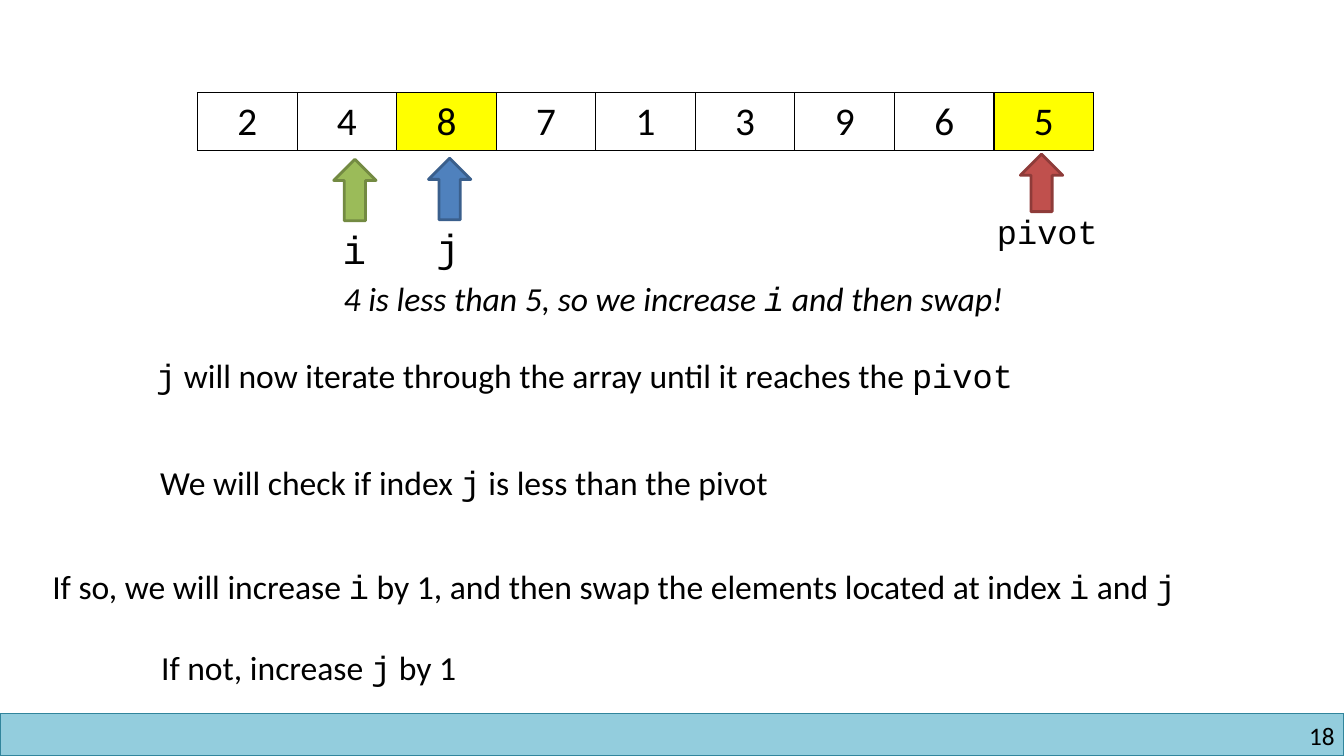
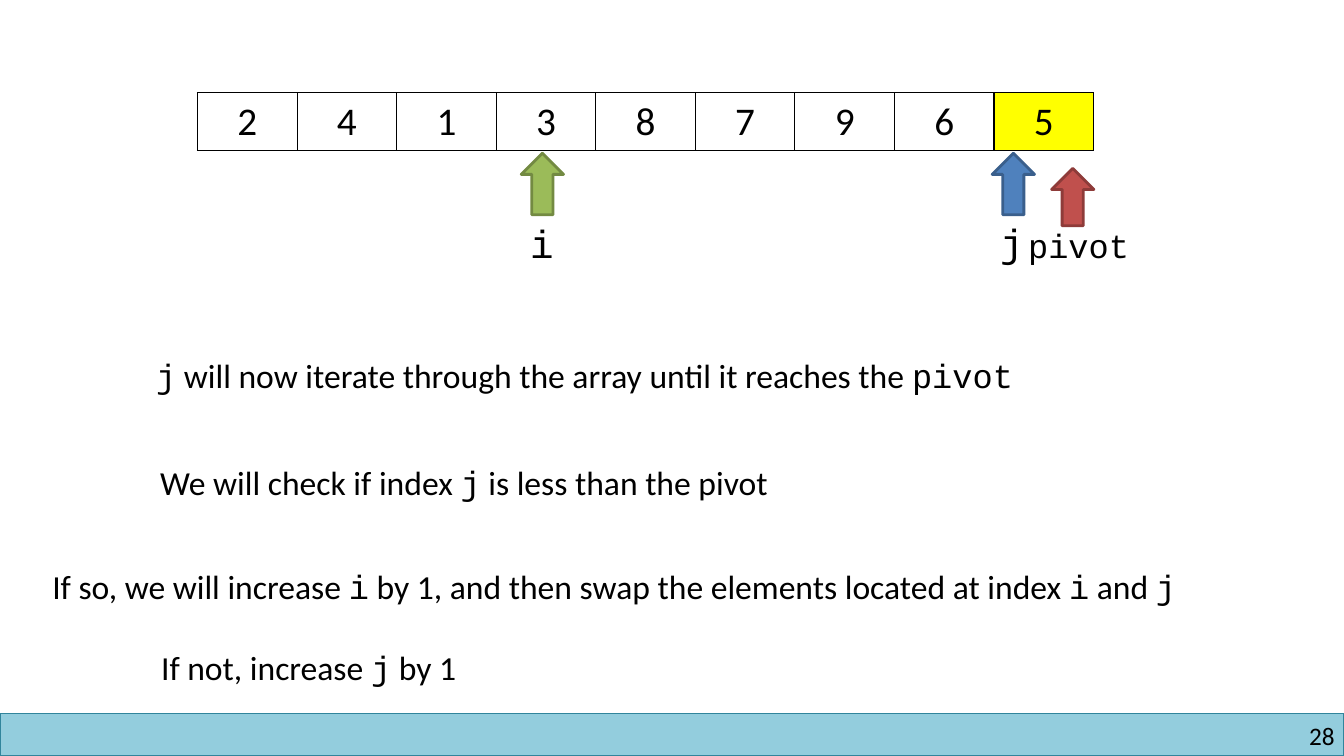
from dataclasses import dataclass

from lxml import etree
from pptx import Presentation
from pptx.dml.color import RGBColor
from pptx.enum.shapes import MSO_SHAPE
from pptx.enum.text import MSO_ANCHOR, MSO_AUTO_SIZE, PP_ALIGN
from pptx.oxml.ns import qn
from pptx.util import Inches, Pt

RECT, UP_ARROW = MSO_SHAPE.RECTANGLE, MSO_SHAPE.UP_ARROW
LEFT, CENTER, RIGHT = PP_ALIGN.LEFT, PP_ALIGN.CENTER, PP_ALIGN.RIGHT
MIDDLE = MSO_ANCHOR.MIDDLE
GROW = MSO_AUTO_SIZE.SHAPE_TO_FIT_TEXT


@dataclass(frozen=True)
class Theme:
    body: str = "Calibri"
    code: str = "Courier New"
    ink: str = "000000"
    paper: str = "FFFFFF"
    mark: str = "FFFF00"
    band: tuple = ("93CDDD", "31859C")
    number_size: int = 18
    text_size: int = 24
    cell_size: int = 28


@dataclass(frozen=True)
class Pointer:
    """An arrow and its label; lengths are percent of the slide."""
    colors: tuple
    height: float
    label_box: tuple  # offset from the arrow, then width and height
    size: int


THEME = Theme()
ARROW_W = 3.15
LINE_H = 6.67
POINTERS = {
    "pivot": Pointer(("C0504D", "8E3B39"), 7.6, (-2.48, 6.8, 9.08, LINE_H), THEME.text_size),
    "j": Pointer(("4F81BD", "3A5F8C"), 8.13, (-0.15, 7.93, 3.3, 7.6), THEME.cell_size),
    "i": Pointer(("9BBB59", "738A42"), 8.13, (-0.08, 8.13, 3.3, 7.6), THEME.cell_size),
}

# Text between backticks is set in the code font
STEPS = [
    ((10.88, 46.27, 69.69, LINE_H), "`j` will now iterate through the array until it reaches the `pivot`"),
    ((11.18, 60.4, 51.31, LINE_H), "We will check if index `j` is less than the pivot"),
    ((3.15, 74.13, 93.77, LINE_H),
     "If so, we will increase `i` by 1, and then swap the elements located at index `i` and `j`"),
    ((11.25, 84.93, 25.73, LINE_H), "If not, increase `j` by 1"),
]
CAPTION_BOX = (24.83, 36.13, 56.64, LINE_H)

SLIDES = [
    dict(number=18, values="248713965", marked={2, 8},
         pointers={"pivot": (75.92, 20.4), "j": (31.88, 20.93), "i": (24.83, 21.07)},
         caption="4 is less than 5, so we increase `i` and then swap!"),
    dict(number=28, values="241387965", marked={8},
         pointers={"pivot": (78.24, 22.27), "j": (73.82, 20.27), "i": (38.78, 20.27)},
         caption=None),
]


class Deck:
    def __init__(self, theme):
        self.theme = theme
        self.prs = Presentation()
        self.prs.slide_width, self.prs.slide_height = Inches(13.33), Inches(7.5)
        self.s = None

    def box(self, x, y, w, h):
        """Turn percent of the slide into lengths."""
        sw, sh = self.prs.slide_width, self.prs.slide_height
        return [int(v * full / 100) for v, full in ((x, sw), (y, sh), (w, sw), (h, sh))]

    def add_slide(self, number):
        self.s = self.prs.slides.add_slide(self.prs.slide_layouts[6])
        self.shape(RECT, (0, 94.4, 100, 5.6), self.theme.band, 1)
        self.text((76.28, 95.33, 23.03, 4), str(number), self.theme.number_size,
                  align=RIGHT, margin=0, wrap=True)

    def shape(self, kind, area, colors, weight):
        sp = self.s.shapes.add_shape(kind, *self.box(*area))
        sp.shadow.inherit = False
        sp.fill.solid()
        sp.fill.fore_color.rgb = RGBColor.from_string(colors[0])
        sp.line.color.rgb = RGBColor.from_string(colors[1])
        sp.line.width = Pt(weight)

    def runs(self, p, marked_up, size, italic=None):
        for n, part in enumerate(marked_up.split("`")):
            if part:
                r = p.add_run()
                r.text = part
                style = dict(name=self.theme.code if n % 2 else self.theme.body,
                             size=Pt(size), italic=italic)
                for key, value in style.items():
                    setattr(r.font, key, value)
                r.font.color.rgb = RGBColor.from_string(self.theme.ink)

    def text(self, area, marked_up, size, align=LEFT, italic=None, margin=None, wrap=False):
        tf = self.s.shapes.add_textbox(*self.box(*area)).text_frame
        tf.word_wrap, tf.auto_size = wrap, GROW
        if margin is not None:
            for side in ("left", "top", "right", "bottom"):
                setattr(tf, f"margin_{side}", margin)
        p = tf.paragraphs[0]
        p.alignment = align
        self.runs(p, marked_up, size, italic)

    def array(self, area, values, marked):
        """Draw the values as a one-row table with marked cells."""
        tbl = self.s.shapes.add_table(1, len(values), *self.box(*area)).table
        for n, value in enumerate(values):
            cell = tbl.cell(0, n)
            cell.vertical_anchor = MIDDLE
            self.borders(cell)
            cell.fill.solid()
            color = self.theme.mark if n in marked else self.theme.paper
            cell.fill.fore_color.rgb = RGBColor.from_string(color)
            p = cell.text_frame.paragraphs[0]
            p.alignment = CENTER
            self.runs(p, value, self.theme.cell_size)

    def borders(self, cell):
        tc_pr = cell._tc.get_or_add_tcPr()
        for side in ("lnL", "lnR", "lnT", "lnB"):
            ln = etree.SubElement(tc_pr, qn(f"a:{side}"), w=str(Pt(1)))
            fill = etree.SubElement(ln, qn("a:solidFill"))
            etree.SubElement(fill, qn("a:srgbClr"), val=self.theme.ink)

    def pointer(self, name, x, y):
        look = POINTERS[name]
        self.shape(UP_ARROW, (x, y, ARROW_W, look.height), look.colors, 2)
        dx, dy, w, h = look.label_box
        self.text((x + dx, y + dy, w, h), f"`{name}`", look.size)


def main():
    deck = Deck(THEME)
    for page in SLIDES:
        deck.add_slide(page["number"])
        deck.array((14.7, 12.27, 66.69, 7.6), page["values"], page["marked"])
        for name, (x, y) in page["pointers"].items():
            deck.pointer(name, x, y)
        for area, step in STEPS:
            deck.text(area, step, THEME.text_size)
        if page["caption"]:
            deck.text(CAPTION_BOX, page["caption"], THEME.text_size, italic=True)
    deck.prs.save("out.pptx")


if __name__ == "__main__":
    main()
